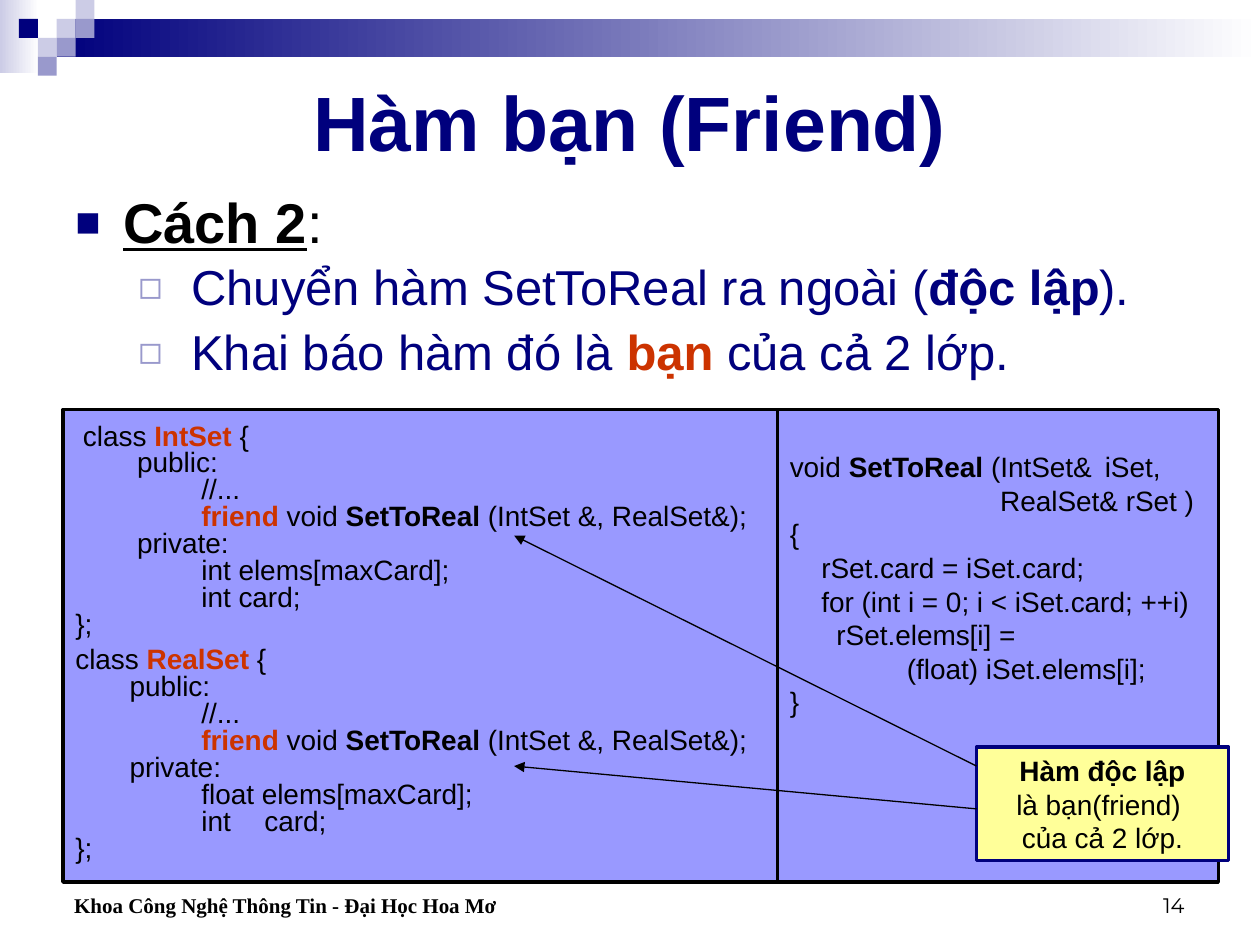
from typing import NamedTuple, Optional

import pptx
import pptx.dml.color
import pptx.enum.shapes
import pptx.enum.text
import pptx.oxml
import pptx.oxml.ns
import pptx.util
from pptx.dml.color import RGBColor
from pptx.util import Inches, Pt

NAVY = RGBColor(0x00, 0x00, 0x7D)
MIST = RGBColor(0xCC, 0xCC, 0xE6)
LILAC = RGBColor(0x99, 0x99, 0xCC)
PANEL = RGBColor(0x99, 0x99, 0xFF)
CREAM = RGBColor(0xFF, 0xFF, 0x99)
RED = RGBColor(0xCC, 0x33, 0x00)
BLACK = RGBColor(0, 0, 0)
WHITE = RGBColor(0xFF, 0xFF, 0xFF)

ALIGN = pptx.enum.text.PP_ALIGN
ANCHOR = pptx.enum.text.MSO_ANCHOR
RECT = pptx.enum.shapes.MSO_SHAPE.RECTANGLE
STRAIGHT = pptx.enum.shapes.MSO_CONNECTOR.STRAIGHT


class Run(NamedTuple):
    text: str
    bold: Optional[bool] = None
    color: Optional[RGBColor] = None
    under: Optional[bool] = None


class Bullet(NamedTuple):
    char: str
    color: RGBColor
    percent: int


class Line(NamedTuple):
    """One paragraph; indent, hang and tab in inches, before in points."""
    runs: list[Run]
    indent: float = 0
    before: float = 0
    tab: float = 0
    hang: float = 0
    level: int = 0
    bullet: Optional[Bullet] = None


class Style(NamedTuple):
    size: float
    color: RGBColor = BLACK
    bold: bool = False
    face: str = "Arial"
    align: ALIGN = ALIGN.LEFT
    spacing: float = 1.0


class Box(NamedTuple):
    left: float
    top: float
    width: float
    height: float

    def lengths(self) -> list[pptx.util.Length]:
        return [Inches(v) for v in self]


def add_xml(parent, tag: str, **attrs):
    """Append a DrawingML child and return it."""
    node = pptx.oxml.parse_xml(f"<a:{tag} {pptx.oxml.ns.nsdecls('a')}/>")
    for name, value in attrs.items():
        node.set(name, str(value))
    parent.append(node)
    return node


def write(frame, lines: list[Line], style: Style,
          anchor=ANCHOR.TOP, top: float = 0.05) -> None:
    frame.word_wrap = True
    frame.vertical_anchor = anchor
    frame.margin_left = frame.margin_right = Inches(0.1)
    frame.margin_top, frame.margin_bottom = Inches(top), Inches(0.05)
    for i, line in enumerate(lines):
        para = frame.add_paragraph() if i else frame.paragraphs[0]
        props = para._p.get_or_add_pPr()
        props.set("marL", str(Inches(line.indent)))
        props.set("indent", str(Inches(line.hang)))
        if line.bullet:
            tint = add_xml(props, "buClr")
            add_xml(tint, "srgbClr", val=line.bullet.color)
            add_xml(props, "buSzPct", val=line.bullet.percent * 1000)
            add_xml(props, "buFont", typeface="Arial")
            add_xml(props, "buChar", char=line.bullet.char)
        if line.tab:
            add_xml(add_xml(props, "tabLst"), "tab", pos=Inches(line.tab), algn="l")
        para.level = line.level
        para.alignment = style.align
        para.line_spacing = style.spacing
        para.space_before = Pt(line.before)
        font = para.font
        font.name, font.size, font.bold = style.face, Pt(style.size), style.bold
        font.color.rgb = style.color
        for part in line.runs:
            run = para.add_run()
            run.text = part.text
            run.font.bold = part.bold
            run.font.underline = part.under
            if part.color is not None:
                run.font.color.rgb = part.color


def add_rect(slide, box: Box, fill: RGBColor, edge: Optional[RGBColor] = None):
    shape = slide.shapes.add_shape(RECT, *box.lengths())
    shape.shadow.inherit = False
    shape.fill.solid()
    shape.fill.fore_color.rgb = fill
    if edge is None:
        shape.line.fill.background()
    else:
        shape.line.color.rgb = edge
        shape.line.width = Pt(2)
    return shape


def add_fade(slide, box: Box, color: RGBColor) -> None:
    """A bar that fades from color to white, left to right."""
    fill = add_rect(slide, box, color).fill
    fill.gradient()
    fill.gradient_angle = 0
    for stop, shade in zip(fill.gradient_stops, (color, WHITE)):
        stop.color.rgb = shade


def add_text(slide, box: Box, lines: list[Line], style: Style, anchor=ANCHOR.TOP) -> None:
    write(slide.shapes.add_textbox(*box.lengths()).text_frame, lines, style, anchor)


def add_arrow(slide, start: tuple[float, float], end: tuple[float, float]) -> None:
    ends = [Inches(v) for v in start + end]
    arrow = slide.shapes.add_connector(STRAIGHT, *ends)
    arrow.line.color.rgb = BLACK
    arrow.line.width = Pt(0.75)
    add_xml(arrow.line._get_or_add_ln(), "tailEnd", type="triangle")
    add_xml(arrow._element.spPr, "effectLst")


def plain(text: str, indent: float = 0, **more) -> Line:
    return Line([Run(text)], indent, **more)


def class_code(name: str, fields: list[Line], inset: float, step: float,
               before: float = 0) -> list[Line]:
    """Listing of one class that declares the friend function."""
    return [
        Line([Run("class "), Run(name, True, RED), Run(" {")], inset, before),
        plain("public:", step),
        plain("//...", 1),
        Line([Run("friend", True, RED), Run(" void "), Run("SetToReal", True),
              Run(" (IntSet &, RealSet&);")], 1),
        plain("private:", step),
        *fields,
        plain("};"),
    ]


def main() -> None:
    deck = pptx.Presentation()
    deck.slide_width, deck.slide_height = Inches(10), Inches(7.5)
    slide = deck.slides.add_slide(deck.slide_layouts[6])

    add_fade(slide, Box(0, 0, 0.31, 0.58), MIST)
    add_fade(slide, Box(0.45, 0.15, 9.55, 0.3), NAVY)
    tiles = [(3, 1, MIST), (4, 0, MIST), (4, 1, LILAC), (2, 2, MIST),
             (1, 1, NAVY), (3, 2, LILAC), (2, 3, LILAC)]
    for col, row, color in tiles:
        add_rect(slide, Box(col * 0.15, row * 0.15, 0.15, 0.15), color)

    add_text(slide, Box(0.5, 0.5, 9, 0.92), [plain("Hàm bạn (Friend)")],
             Style(44, NAVY, True, align=ALIGN.CENTER), ANCHOR.MIDDLE)

    head = Line([Run("Cách 2", True, under=True), Run(":")], 0.38, 8, hang=-0.38,
                bullet=Bullet("■", NAVY, 75))
    sub = Line([], 0.92, 7, hang=-0.42, level=1, bullet=Bullet("◻", LILAC, 80))
    points = [
        [Run("Chuyển hàm SetToReal ra ngoài ("), Run("độc lập", True), Run(").")],
        [Run("Khai báo hàm đó là "), Run("bạn", True, RED), Run(" của cả 2 lớp.")],
    ]
    add_text(slide, Box(0.5, 1.5, 9.08, 0.6), [head], Style(32, spacing=0.9))
    add_text(slide, Box(0.5, 2.04, 9.08, 1.21), [sub._replace(runs=p) for p in points],
             Style(28, NAVY, spacing=0.9))

    left = add_rect(slide, Box(0.5, 3.25, 5.67, 3.75), PANEL, BLACK)
    ints = [plain("int elems[maxCard];", 1), plain("int card;", 1)]
    reals = [plain("float elems[maxCard];", 1), plain("int\tcard;", 1, tab=1.42)]
    code = class_code("IntSet", ints, 0.06, 0.49) + class_code("RealSet", reals, 0, 0.43, 5)
    write(left.text_frame, code, Style(16, spacing=0.8), top=0.12)

    right = add_rect(slide, Box(6.17, 3.25, 3.5, 3.75), PANEL, BLACK)
    body = [
        Line([Run("void "), Run("SetToReal", True), Run(" (IntSet&\tiSet,")], tab=2.63),
        plain("RealSet& rSet )", 1.67),
        plain("{"),
        plain("rSet.card = iSet.card;", 0.25),
        plain("for (int i = 0; i < iSet.card; ++i)", 0.25),
        plain("rSet.elems[i] =", 0.37),
        plain("(float) iSet.elems[i];", 0.93),
        plain("}"),
    ]
    write(right.text_frame, body, Style(16), top=0.32)

    note = add_rect(slide, Box(7.75, 5.93, 2, 0.9), CREAM, NAVY)
    words = [Line([Run("Hàm độc lập", True)]), plain("là bạn(friend) "), plain("của cả 2 lớp.")]
    write(note.text_frame, words, Style(16, align=ALIGN.CENTER), ANCHOR.MIDDLE)
    add_arrow(slide, (7.75, 6.42), (4.08, 6.08))
    add_arrow(slide, (7.75, 6.08), (4.08, 4.25))

    add_text(slide, Box(0.25, 6.83, 4.83, 0.5),
             [plain("Khoa Công Nghệ Thông Tin - Đại Học Hoa Mơ", 0.24)],
             Style(12, bold=True, face="Times New Roman"), ANCHOR.BOTTOM)
    add_text(slide, Box(7.17, 6.83, 2.33, 0.5), [plain("14")],
             Style(12, face="Montserrat", align=ALIGN.RIGHT), ANCHOR.BOTTOM)
    deck.save("out.pptx")


if __name__ == "__main__":
    main()
